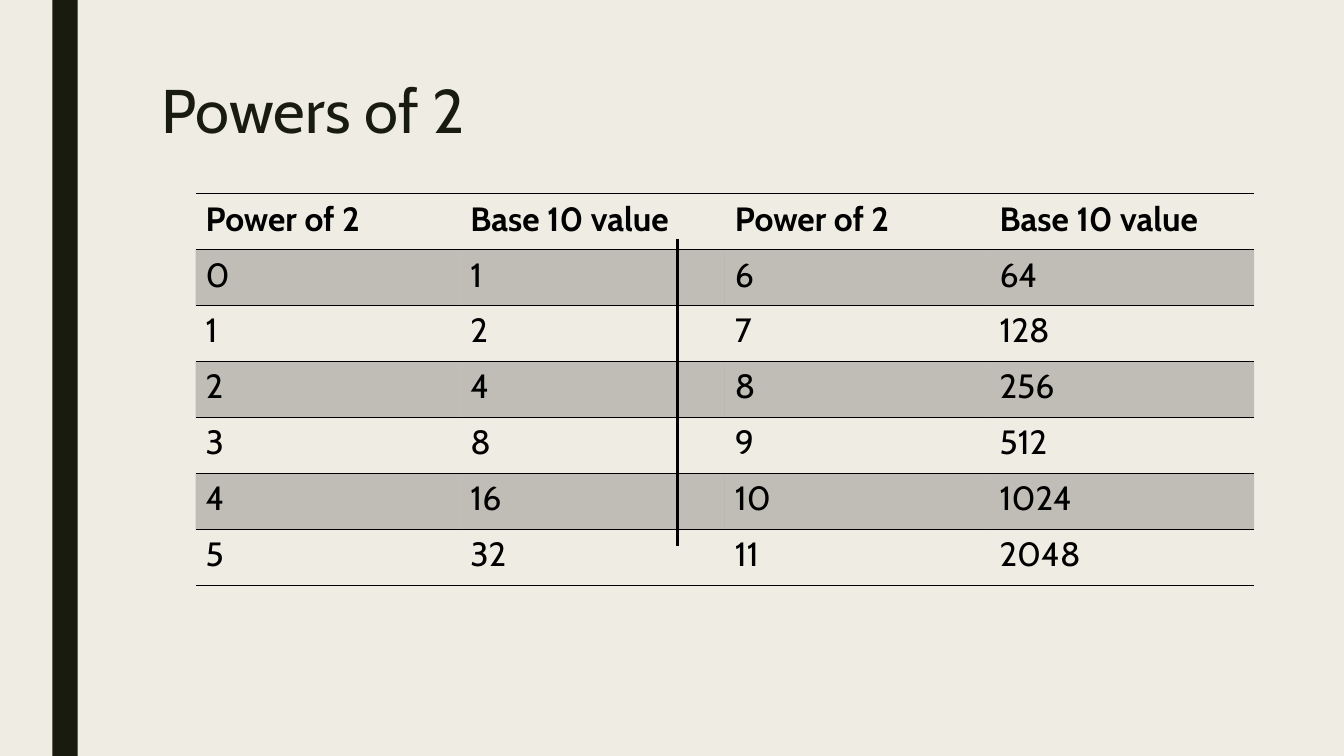
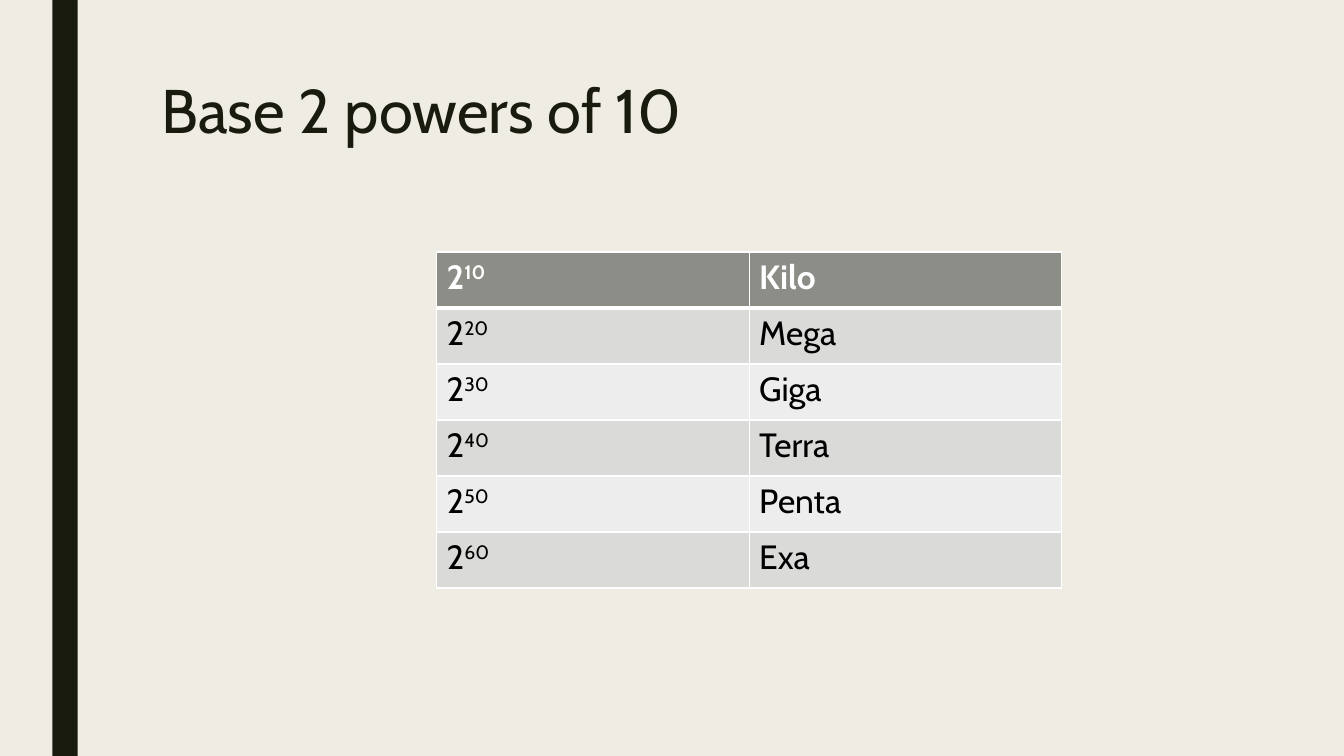
"""Build two slides with tables about powers of two."""
from dataclasses import dataclass

from lxml import etree
from pptx import Presentation
from pptx.dml.color import RGBColor
from pptx.enum.shapes import MSO_CONNECTOR, MSO_SHAPE
from pptx.enum.text import MSO_ANCHOR, PP_ALIGN
from pptx.oxml.ns import qn
from pptx.util import Inches, Pt

TOP, LEFT = MSO_ANCHOR.TOP, PP_ALIGN.LEFT
RECT, STRAIGHT = MSO_SHAPE.RECTANGLE, MSO_CONNECTOR.STRAIGHT
PLAIN = "{2D5ABB26-0587-4C30-8999-92F81FD0307C}"


@dataclass(frozen=True)
class Theme:
    font: str = "Cabin"
    paper: str = "EFEDE3"
    dark: str = "191B0E"
    black: str = "000000"
    white: str = "FFFFFF"
    head: str = "8C8D86"
    odd: str = "DADAD9"
    even: str = "EDEDED"
    title: int = 44
    body: int = 24
    thin: float = 0.96
    thick: float = 3
    rule: float = 2.75


theme = Theme()


def write(frame, text, size=theme.body, color=theme.black, bold=False, space=None):
    """Write text; whatever follows a caret is raised."""
    para = frame.paragraphs[0]
    para.alignment = LEFT
    para.line_spacing = space
    for index, part in enumerate(text.split("^")):
        run = para.add_run()
        run.text = part
        run.font.name = theme.font
        run.font.size = Pt(size)
        run.font.bold = bold
        run.font.color.rgb = RGBColor.from_string(color)
        if index:
            run.font.superscript = True if hasattr(run.font, "superscript") else None
            run._r.get_or_add_rPr().set("baseline", "30000")


def grid(slide, data, left, top, width, looks, sides, line):
    """Add a table; looks gives fill, alpha and ink of head, odd and even rows."""
    rows, cols = len(data), len(data[0])
    table = slide.shapes.add_table(
        rows, cols, Inches(left), Inches(top), Inches(width), Inches(rows * 5 / 9)
    ).table
    table._tbl.tblPr.find(qn("a:tableStyleId")).text = PLAIN
    for row, texts in enumerate(data):
        fill, alpha, ink = looks[0 if row == 0 else 2 - row % 2]
        for col, text in enumerate(texts):
            cell = table.cell(row, col)
            write(cell.text_frame, text, color=ink, bold=row == 0)
            if fill:
                cell.fill.solid()
                cell.fill.fore_color.rgb = RGBColor.from_string(fill)
            else:
                cell.fill.background()
            props = cell._tc.get_or_add_tcPr()
            if alpha:
                tint = props.find(".//" + qn("a:srgbClr"))
                etree.SubElement(tint, qn("a:alpha")).set("val", str(alpha * 1000))
            for place, side in enumerate(sides):
                heavy = line == theme.white and (row, side) in ((0, "B"), (1, "T"))
                edge = etree.Element(qn("a:ln" + side))
                edge.set("w", str(Pt(theme.thick if heavy else theme.thin)))
                solid = etree.SubElement(edge, qn("a:solidFill"))
                etree.SubElement(solid, qn("a:srgbClr")).set("val", line)
                props.insert(place, edge)


deck = Presentation()
deck.slide_width, deck.slide_height = Inches(13.33), Inches(7.5)
master = deck.slide_master
master.background.fill.solid()
master.background.fill.fore_color.rgb = RGBColor.from_string(theme.paper)

layout = deck.slide_layouts[5]
pages = []
for name in ("Powers of 2", "Base 2 powers of 10"):
    page = deck.slides.add_slide(layout)
    title = page.shapes.title
    title.left, title.top = Inches(1.5), Inches(0.75)
    title.width, title.height = Inches(10.5), Inches(1.62)
    title.text_frame.vertical_anchor = TOP
    write(title.text_frame, name, size=theme.title, color=theme.dark, space=0.89)
    pages.append(page)
first, second = pages

band = first.shapes.add_shape(RECT, Inches(0.52), 0, Inches(0.25), deck.slide_height)
band.shadow.inherit = False
band.fill.solid()
band.fill.fore_color.rgb = RGBColor.from_string(theme.dark)
band.line.fill.background()
master.shapes.element.insert(2, band.element)

powers = [["Power of 2", "Base 10 value"] * 2]
for low in range(6):
    powers.append([str(n) for exp in (low, low + 6) for n in (exp, 2 ** exp)])
clear = (None, None, theme.black)
shade = (theme.black, 20, theme.black)
grid(first, powers, 1.94, 1.92, 10.5, (clear, shade, clear), "TB", theme.black)

rule = first.shapes.add_connector(
    STRAIGHT, Inches(6.72), Inches(2.37), Inches(6.72), Inches(5.42)
)
rule.line.color.rgb = RGBColor.from_string(theme.black)
rule.line.width = Pt(theme.rule)
etree.SubElement(rule.element.spPr, qn("a:effectLst"))

names = ("Kilo", "Mega", "Giga", "Terra", "Penta", "Exa")
units = [(f"2^{10 * step}", name) for step, name in enumerate(names, 1)]
looks = (
    (theme.head, None, theme.white),
    (theme.odd, None, theme.black),
    (theme.even, None, theme.black),
)
grid(second, units, 4.33, 2.5, 6.2, looks, "LRTB", theme.white)

deck.save("out.pptx")
